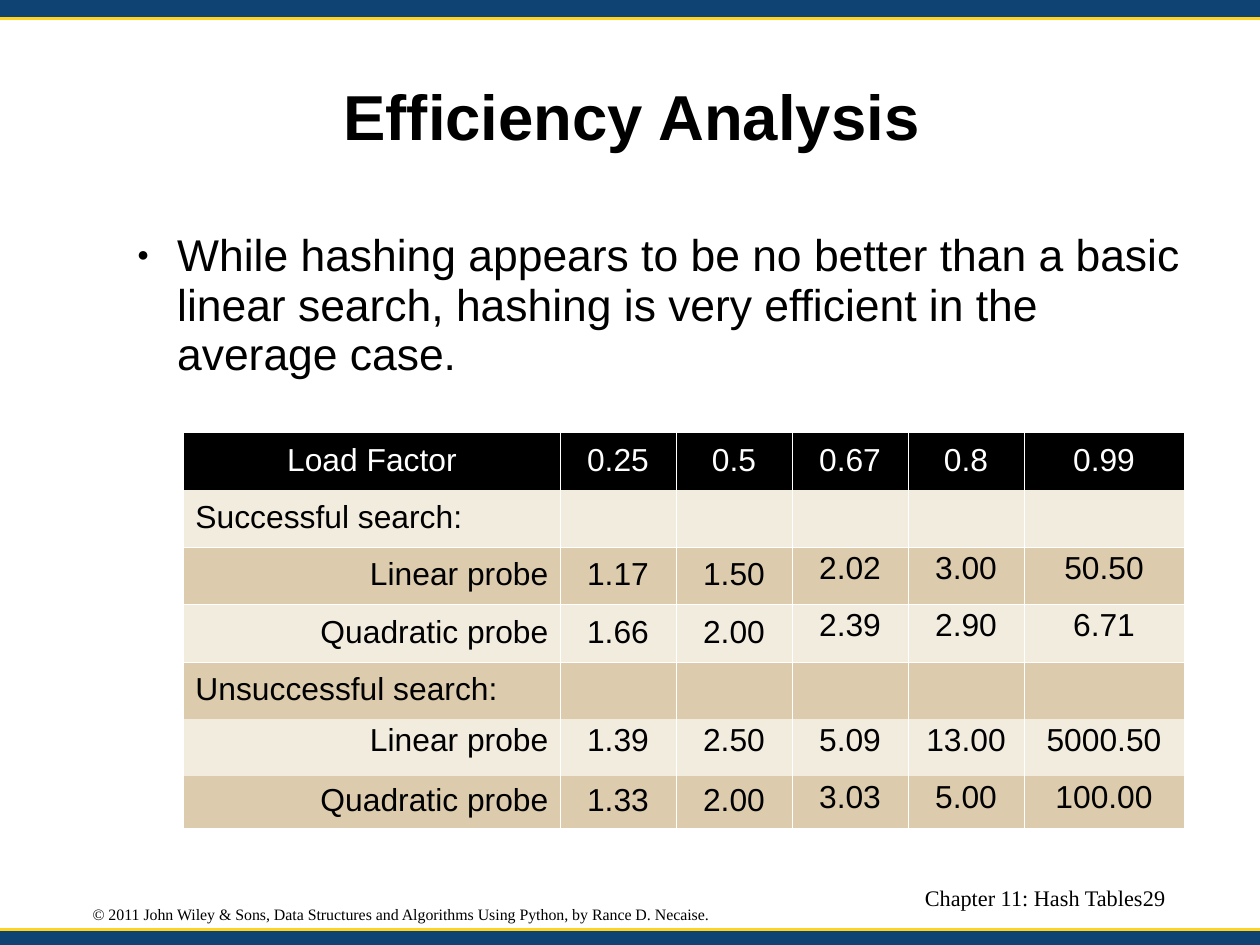
from lxml.etree import SubElement
from pptx import Presentation
from pptx.dml.color import RGBColor
from pptx.enum.shapes import MSO_CONNECTOR, MSO_SHAPE
from pptx.enum.text import MSO_ANCHOR, MSO_AUTO_SIZE, PP_ALIGN
from pptx.oxml.ns import qn
from pptx.util import Cm, Inches, Pt

W, H = Cm(28), Cm(21)
BAR_H, BOTTOM = 0.16, 8.13
TITLE = "Efficiency Analysis"
BODY = ("While hashing appears to be no better than a basic linear search, "
        "hashing is very efficient in the average case.")
COPYRIGHT = ("© 2011 John Wiley & Sons, Data Structures and Algorithms Using Python, "
             "by Rance D. Necaise.")
CHAPTER, PAGE = "Chapter 11: Hash Tables", "29"
ROWS = [
    ("Load Factor", "0.25", "0.5", "0.67", "0.8", "0.99"),
    ("Successful search:", "", "", "", "", ""),
    ("Linear probe", "1.17", "1.50", "2.02", "3.00", "50.50"),
    ("Quadratic probe", "1.66", "2.00", "2.39", "2.90", "6.71"),
    ("Unsuccessful search:", "", "", "", "", ""),
    ("Linear probe", "1.39", "2.50", "5.09", "13.00", "5000.50"),
    ("Quadratic probe", "1.33", "2.00", "3.03", "5.00", "100.00"),
]
TABLE_W, LABEL_W, LAST_W = 8.75, 3.29, 1.4
COL_W = [LABEL_W] + [(TABLE_W - LABEL_W - LAST_W) / 4] * 4 + [LAST_W]
ROW_H = [0.5] * 6 + [0.45]
HEADER, BANDS = "000000", ("DCCBAC", "F2ECDE")
BLACK, WHITE, NAVY, GOLD = "000000", "FFFFFF", "0F4374", "FFD320"
NO_GRID = "{2D5ABB26-0587-4C30-8999-92F81FD0307C}"
L, C, R = PP_ALIGN.LEFT, PP_ALIGN.CENTER, PP_ALIGN.RIGHT
TOP, MIDDLE = MSO_ANCHOR.TOP, MSO_ANCHOR.MIDDLE


def rgb(color):
    return RGBColor.from_string(color)


def write(tf, text, size, align, font="Arial", color=BLACK, bold=False):
    p = tf.paragraphs[0]
    p.alignment, p.line_spacing, p.space_before = align, 0.93, Pt(0)
    r = p.add_run()
    r.text = text
    r.font.size, r.font.name, r.font.bold = Pt(size), font, bold
    r.font.color.rgb = rgb(color)
    return p


def place(sp, x, y, w, h, anchor=TOP, top=0, wrap=True):
    sp.left, sp.top, sp.width, sp.height = map(Inches, (x, y, w, h))
    tf = sp.text_frame
    tf.auto_size, tf.word_wrap, tf.vertical_anchor = MSO_AUTO_SIZE.NONE, wrap, anchor
    tf.margin_left = tf.margin_right = tf.margin_bottom = 0
    tf.margin_top = Inches(top)
    return tf


def add_bar(shapes, y, h, edge):
    sp = shapes.add_shape(MSO_SHAPE.RECTANGLE, 0, y, W, h)
    sp.shadow.inherit = False
    sp.fill.solid()
    sp.fill.fore_color.rgb = rgb(NAVY)
    sp.line.fill.background()
    line = shapes.add_connector(MSO_CONNECTOR.STRAIGHT, 0, edge, W, edge)
    line.line.color.rgb = rgb(GOLD)
    line.line.width = Pt(2)
    SubElement(line._element.spPr, qn("a:effectLst"))


def add_bullet(p):
    pPr = p._p.get_or_add_pPr()
    pPr.set("marL", str(Inches(0.47)))
    pPr.set("indent", str(Inches(-0.35)))
    SubElement(SubElement(pPr, qn("a:buClr")), qn("a:srgbClr"), val=BLACK)
    SubElement(pPr, qn("a:buSzPct"), val="45000")
    SubElement(pPr, qn("a:buFont"), typeface="Arial")
    SubElement(pPr, qn("a:buChar"), char="●")


def cell_edges(r, c):
    edges = []
    if c > 0 and (r, c) != (0, 2):
        edges.append("L")
    if c < len(COL_W) - 1 and (r, c) != (0, 1):
        edges.append("R")
    if r in (2, 3):
        edges.append("T")
    if r in (1, 2):
        edges.append("B")
    return edges


def style_cell(cell, r, c, text):
    tcPr = cell._tc.get_or_add_tcPr()
    for edge in cell_edges(r, c):
        ln = SubElement(tcPr, qn("a:ln" + edge), w=str(Pt(0.28)))
        SubElement(SubElement(ln, qn("a:solidFill")), qn("a:srgbClr"), val=WHITE)
    cell.fill.solid()
    cell.fill.fore_color.rgb = rgb(BANDS[r % 2] if r else HEADER)
    cell.margin_left = cell.margin_right = Inches(0.04 if (r, c) == (0, 1) else 0.1)
    cell.margin_top = cell.margin_bottom = Inches(0.05)
    raised = r == 5 or (r > 1 and c > 2)
    cell.vertical_anchor = TOP if raised else MIDDLE
    if text:
        label = L if text.endswith(":") else R
        align = C if r == 0 or c > 0 else label
        write(cell.text_frame, text, 20, align, color=BLACK if r else WHITE)


def add_results(shapes, x, y):
    frame = shapes.add_table(len(ROWS), len(COL_W), Inches(x), Inches(y),
                             Inches(TABLE_W), Inches(sum(ROW_H)))
    table = frame.table
    table.first_row = table.horz_banding = False
    table._tbl.tblPr.find(qn("a:tableStyleId")).text = NO_GRID
    for col, w in zip(table.columns, COL_W):
        col.width = Inches(w)
    for row, h in zip(table.rows, ROW_H):
        row.height = Inches(h)
    for r, values in enumerate(ROWS):
        for c, text in enumerate(values):
            style_cell(table.cell(r, c), r, c, text)


def main():
    prs = Presentation()
    prs.slide_width, prs.slide_height = W, H
    slide = prs.slides.add_slide(prs.slide_layouts[1])
    shapes = slide.shapes

    bar, bottom = Inches(BAR_H), Inches(BOTTOM)
    add_bar(shapes, 0, bar, bar)
    add_bar(shapes, bottom, H - bottom, bottom)

    title, body = slide.placeholders
    write(place(title, 0.55, 0.33, 9.95, 1.38, MIDDLE, 0.04), TITLE, 40, C, bold=True)
    tf = place(body, 1.08, 2, 9.42, 5.46, TOP, 0.03)
    add_bullet(tf.paragraphs[0])
    write(tf, BODY, 28, L).space_after = Pt(14.3)

    add_results(shapes, 1.61, 3.79)

    for text, x, y, w, h, size, align, anchor, wrap in (
        (COPYRIGHT, 0.81, 7.93, 5.45, 0.15, 10, L, MIDDLE, False),
        (CHAPTER, 6.51, 7.76, 3.49, 0.35, 14, R, TOP, True),
        (PAGE, 10, 7.76, 0.46, 0.35, 14, L, TOP, True),
    ):
        box = shapes.add_textbox(0, 0, 0, 0)
        write(place(box, x, y, w, h, anchor, wrap=wrap), text, size, align, "Times New Roman")

    prs.save("out.pptx")


if __name__ == "__main__":
    main()
